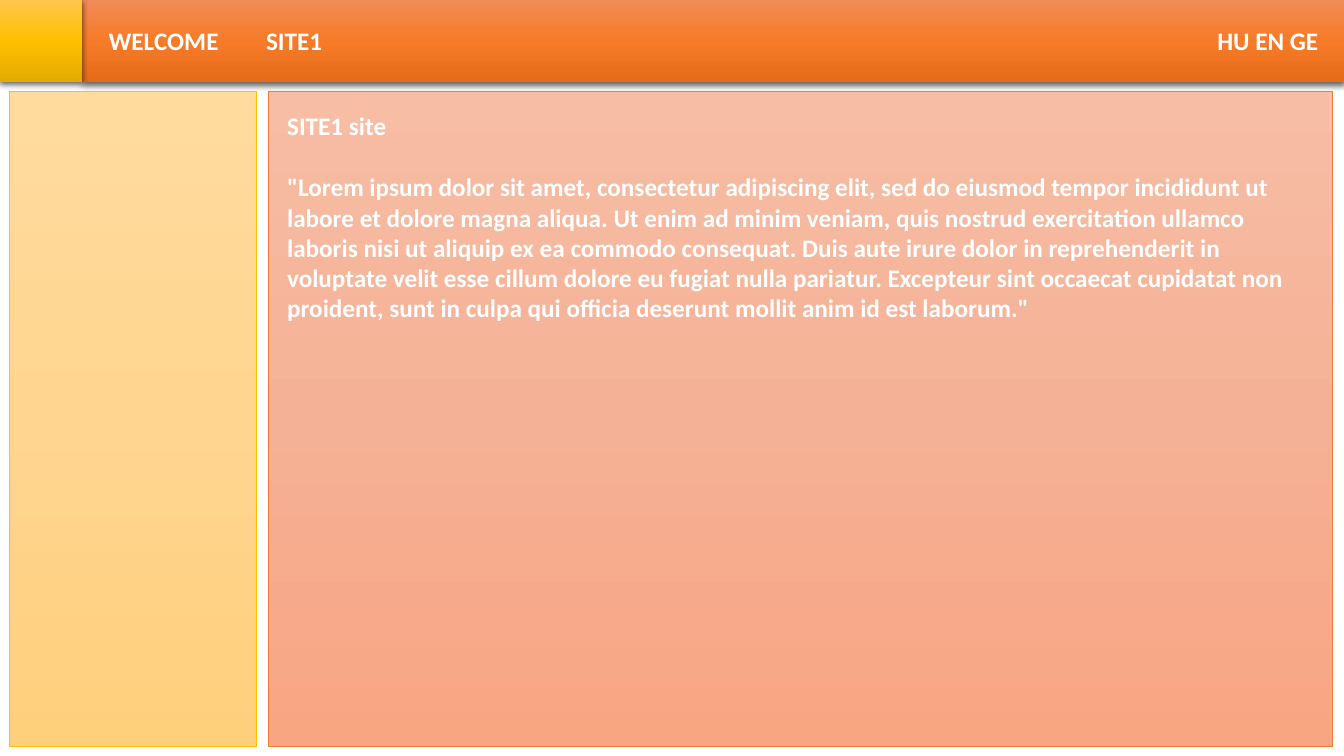
from copy import deepcopy

from lxml import etree
from pptx import Presentation
from pptx.dml.color import RGBColor
from pptx.enum.shapes import MSO_SHAPE
from pptx.enum.text import MSO_AUTO_SIZE
from pptx.oxml.ns import qn
from pptx.util import Pt

RECT = MSO_SHAPE.RECTANGLE
GROW = MSO_AUTO_SIZE.SHAPE_TO_FIT_TEXT

# Content
MENU = [("WELCOME", 70.5, 93), ("SITE1", 183, 55), ("HU EN GE", 862.5, 88)]
TITLE = "SITE1 site"
BODY = (
    '"Lorem ipsum dolor sit amet, consectetur adipiscing elit, sed do eiusmod '
    "tempor incididunt ut labore et dolore magna aliqua. Ut enim ad minim veniam, "
    "quis nostrud exercitation ullamco laboris nisi ut aliquip ex ea commodo "
    "consequat. Duis aute irure dolor in reprehenderit in voluptate velit esse "
    "cillum dolore eu fugiat nulla pariatur. Excepteur sint occaecat cupidatat non "
    'proident, sunt in culpa qui officia deserunt mollit anim id est laborum."'
)

THEME = {
    "font": "Calibri", "size": 18, "text": "FFFFFF", "shade": "000000",
    "bar": ("F18C57", "F67B28", "E56C19"),
    "badge": ("FFC64B", "FFC000", "E3AB00"),
    "side": ("FFDB9E", "FFD590", "FFD07C"),
    "main": ("F7BDA5", "F5B196", "F8A582"),
    "side_line": "FFC000", "main_line": "ED7D31",
}

# Layout
WIDE, HIGH = 960, 540
BAR = 58.5
EDGE, GAP = 6.5, 8.5
TOP = BAR + 7
TALL = 467.5
SIDE = 176.5
MAIN_X = EDGE + SIDE + GAP
MAIN_W = 760.5
MENU_H = 29
LINE_H = 22


def color(name):
    return RGBColor.from_string(name)


def panel(slide, box, tones, edge=None):
    """Draw a three-tone panel, with an outline or else a soft shadow."""
    shape = slide.shapes.add_shape(RECT, *map(Pt, box))
    fill = shape.fill
    fill.gradient()
    fill.gradient_angle = 270
    stops = shape._element.spPr.find(".//" + qn("a:gsLst"))
    stops.insert(1, deepcopy(stops[0]))
    for i, (stop, tone) in enumerate(zip(fill.gradient_stops, tones)):
        stop.position = i / 2
        stop.color.rgb = color(tone)
    shape.shadow.inherit = False
    if edge:
        shape.line.color.rgb = color(edge)
        shape.line.width = Pt(0.5)
    else:
        shape.line.fill.background()
        cast(shape)


def cast(shape):
    list_ = shape._element.spPr.find(qn("a:effectLst"))
    outer = etree.SubElement(
        list_, qn("a:outerShdw"), blurRad=str(Pt(4.5)), dist=str(Pt(1.5)),
        dir="5400000", algn="ctr", rotWithShape="0")
    tint = etree.SubElement(outer, qn("a:srgbClr"), val=THEME["shade"])
    etree.SubElement(tint, qn("a:alpha"), val="63000")


def label(slide, box, lines, wrap=False):
    """Write bold lines, with one empty line's space between them."""
    frame = slide.shapes.add_textbox(*map(Pt, box)).text_frame
    frame.word_wrap = wrap
    frame.auto_size = GROW
    for i, line in enumerate(lines):
        para = frame.add_paragraph() if i else frame.paragraphs[0]
        para.space_before = Pt(LINE_H if i else 0)
        run = para.add_run()
        run.text = line
        font = run.font
        font.name, font.size, font.bold = THEME["font"], Pt(THEME["size"]), True
        font.color.rgb = color(THEME["text"])


def main():
    deck = Presentation()
    deck.slide_width, deck.slide_height = Pt(WIDE), Pt(HIGH)
    slide = deck.slides.add_slide(deck.slide_layouts[6])

    # Header and panels
    panel(slide, (BAR, 0, WIDE - BAR, BAR), THEME["bar"])
    panel(slide, (0, 0, BAR, BAR), THEME["badge"])
    panel(slide, (EDGE, TOP, SIDE, TALL), THEME["side"], THEME["side_line"])
    panel(slide, (MAIN_X, TOP, MAIN_W, TALL), THEME["main"], THEME["main_line"])

    # Menu and page text
    for word, left, width in MENU:
        label(slide, (left, (BAR - MENU_H) / 2, width, MENU_H), [word])
    label(slide, (MAIN_X + 6.5, TOP + 10, 746.5, 160), [TITLE, BODY], wrap=True)

    deck.save("out.pptx")


if __name__ == "__main__":
    main()
